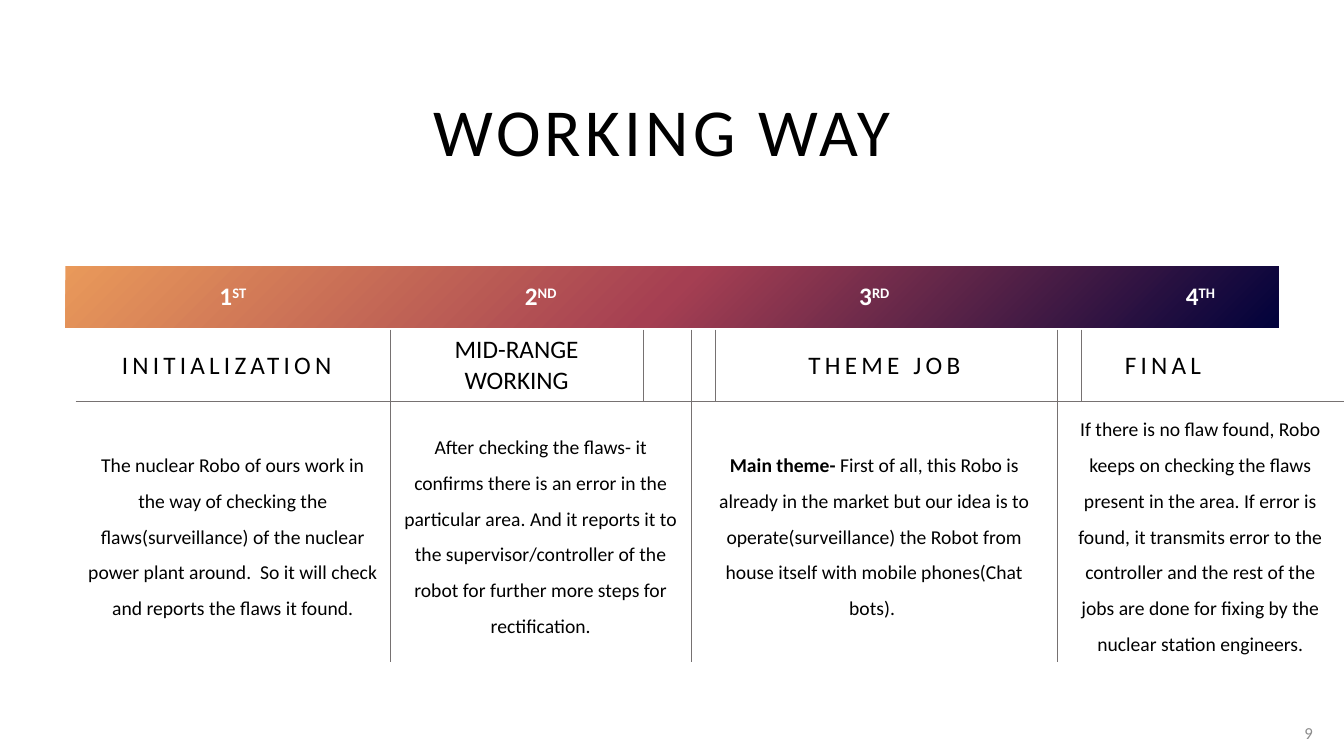
from typing import NamedTuple

from lxml import etree
from pptx import Presentation
from pptx import util as u
from pptx.dml.color import RGBColor
from pptx.enum import shapes, text
from pptx.oxml import ns, parse_xml

BLACK = RGBColor(0x00, 0x00, 0x00)
WHITE = RGBColor(0xFF, 0xFF, 0xFF)
GREY = RGBColor(0x8C, 0x8C, 0x8C)
RULE = RGBColor(0x76, 0x71, 0x71)
NAVY = RGBColor(0x01, 0x02, 0x3B)
CRIMSON = RGBColor(0xA5, 0x3F, 0x52)
ORANGE = RGBColor(0xE9, 0x99, 0x5A)

FONT = "Calibri"
COLUMNS = [0.23, 2.42, 0.46, 2.51, 0.23, 0.23, 0.23, 3.15, 0.23, 0.23, 1.62, 0.98]
ROWS = [0.64, 0.7, 2.55]
SPAN = 3
NO_STYLE = "{2D5ABB26-0587-4C30-8999-92F81FD0307C}"


class Stage(NamedTuple):
    number: str
    suffix: str
    heading: str
    column: int
    body: str
    lead: str = ""
    spacing: float = 3
    indent: float = 0.1


STAGES = [
    Stage("1", "ST", "INITIALIZATION", 1,
          "The nuclear Robo of ours work in the way of checking the "
          "flaws(surveillance) of the nuclear power plant around.  So it will "
          "check and reports the flaws it found.", indent=0.2),
    Stage("2", "ND", "MID-RANGE WORKING", 3,
          "After checking the flaws- it confirms there is an error in the "
          "particular area. And it reports it to the supervisor/controller of "
          "the robot for further more steps for rectification.", spacing=0),
    Stage("3", "RD", "THEME JOB", 7,
          "First of all, this Robo is already in the market but our idea is to "
          "operate(surveillance) the Robot from house itself with mobile "
          "phones(Chat bots). ", lead="Main theme- ", indent=0.3),
    Stage("4", "TH", "FINAL", 10,
          "If there is no flaw found, Robo keeps on checking the flaws present "
          "in the area. If error is found, it transmits error to the controller "
          "and the rest of the jobs are done for fixing by the nuclear station "
          "engineers."),
]


def write(p, words: str, *, size: float = 18, color: RGBColor = BLACK,
          bold: bool = False, spacing: float = 0, raised: int = 0,
          align=text.PP_ALIGN.CENTER, leading: float = 1.0) -> None:
    p.alignment = align
    p.line_spacing = leading
    r = p.add_run()
    r.text = words
    r.font.name = FONT
    r.font.size = u.Pt(size)
    r.font.bold = bold
    r.font.color.rgb = color
    props = r.font._element
    props.set("spc", str(int(spacing * 100)))
    if raised:
        props.set("baseline", str(raised * 1000))


def add_band(s) -> None:
    sp = s.shapes.add_shape(shapes.MSO_SHAPE.RECTANGLE, u.Inches(0.65),
                            u.Inches(2.64), u.Inches(12.03), u.Inches(0.61))
    sp.shadow.inherit = False
    sp.line.fill.background()
    sp.fill.gradient()
    stops = "".join(f'<a:gs pos="{pos}000"><a:srgbClr val="{color}"/></a:gs>'
                    for pos, color in ((0, NAVY), (50, CRIMSON), (100, ORANGE)))
    grad = parse_xml(
        f'<a:gradFill {ns.nsdecls("a")} rotWithShape="1"><a:gsLst>{stops}</a:gsLst>'
        '<a:path path="circle"><a:fillToRect l="100000" t="100000"/></a:path>'
        '</a:gradFill>')
    props = sp._element.spPr
    props.replace(props.find(ns.qn("a:gradFill")), grad)


def add_title(s) -> None:
    sp = s.shapes.title
    sp.left, sp.top = u.Inches(0.65), u.Inches(0.84)
    sp.width, sp.height = u.Inches(12.03), u.Inches(0.9)
    tf = sp.text_frame
    tf.vertical_anchor = text.MSO_ANCHOR.MIDDLE
    write(tf.paragraphs[0], "WORKING WAY ", size=48, spacing=3)


def add_rules(cell, sides: str) -> None:
    for side in sides:
        ln = etree.SubElement(cell._tc.get_or_add_tcPr(), ns.qn(f"a:ln{side}"),
                              w=str(u.Pt(0.25)))
        fill = etree.SubElement(ln, ns.qn("a:solidFill"))
        etree.SubElement(fill, ns.qn("a:srgbClr"), val=str(RULE))


def rule_sides(row: int, col: int) -> str:
    if row == 0:
        return ""
    left = "L" if col % SPAN == 0 and col > 0 else ""
    right = "R" if col % SPAN == SPAN - 1 and col < len(COLUMNS) - 1 else ""
    return left + right + ("B" if row == 1 else "T")


def fill_stage(table, first: int, stage: Stage) -> None:
    number, body = table.cell(0, first), table.cell(2, first)
    for row, cell in ((0, number), (2, body)):
        cell.merge(table.cell(row, first + SPAN - 1))
    p = number.text_frame.paragraphs[0]
    write(p, stage.number, color=WHITE, bold=True)
    write(p, stage.suffix, color=WHITE, bold=True, raised=30)
    heading = table.cell(1, stage.column)
    heading.margin_left = u.Inches(stage.indent)
    write(heading.text_frame.paragraphs[0], stage.heading, spacing=stage.spacing)
    p = body.text_frame.paragraphs[0]
    if stage.lead:
        write(p, stage.lead, size=14, bold=True, leading=1.5)
    write(p, stage.body, size=14, leading=1.5)


def add_stages(s) -> None:
    frame = s.shapes.add_table(len(ROWS), len(COLUMNS), u.Inches(0.75),
                               u.Inches(2.63), u.Inches(sum(COLUMNS)),
                               u.Inches(sum(ROWS)))
    table = frame.table
    table.first_row = table.horz_banding = False
    table._tbl.tblPr.find(ns.qn("a:tableStyleId")).text = NO_STYLE
    for column, width in zip(table.columns, COLUMNS):
        column.width = u.Inches(width)
    for row, height in zip(table.rows, ROWS):
        row.height = u.Inches(height)
    for row in range(len(ROWS)):
        for col in range(len(COLUMNS)):
            cell = table.cell(row, col)
            cell.vertical_anchor = text.MSO_ANCHOR.MIDDLE
            add_rules(cell, rule_sides(row, col))
            cell.fill.background()
    for i, stage in enumerate(STAGES):
        fill_stage(table, i * SPAN, stage)


def add_page_number(s) -> None:
    sp = s.shapes.add_textbox(u.Inches(12.63), u.Inches(7.07),
                              u.Inches(0.49), u.Inches(0.4))
    tf = sp.text_frame
    tf.word_wrap = True
    tf.vertical_anchor = text.MSO_ANCHOR.MIDDLE
    write(tf.paragraphs[0], "9", size=12, color=GREY, align=text.PP_ALIGN.RIGHT)


def main() -> None:
    prs = Presentation()
    prs.slide_width, prs.slide_height = u.Inches(13.33), u.Inches(7.5)
    s = prs.slides.add_slide(prs.slide_layouts[5])
    add_band(s)
    add_title(s)
    add_stages(s)
    add_page_number(s)
    prs.save("out.pptx")


if __name__ == "__main__":
    main()
